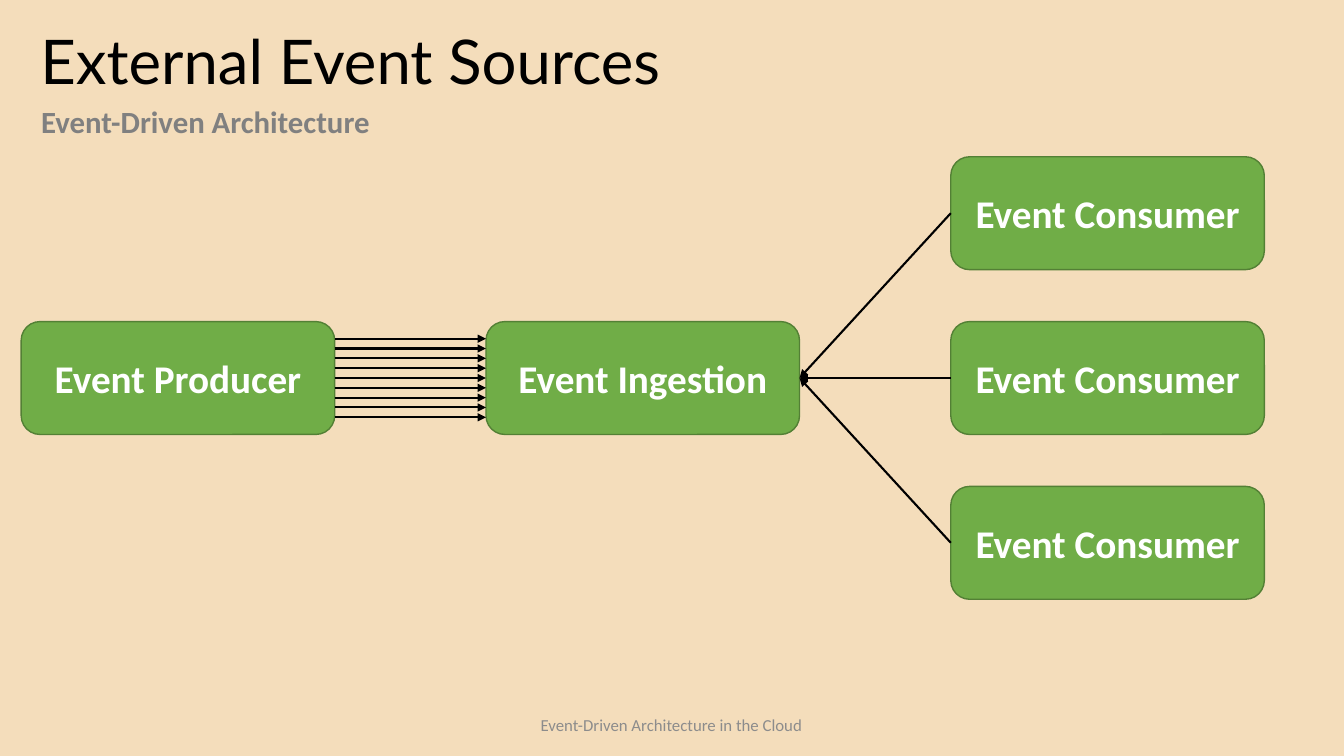
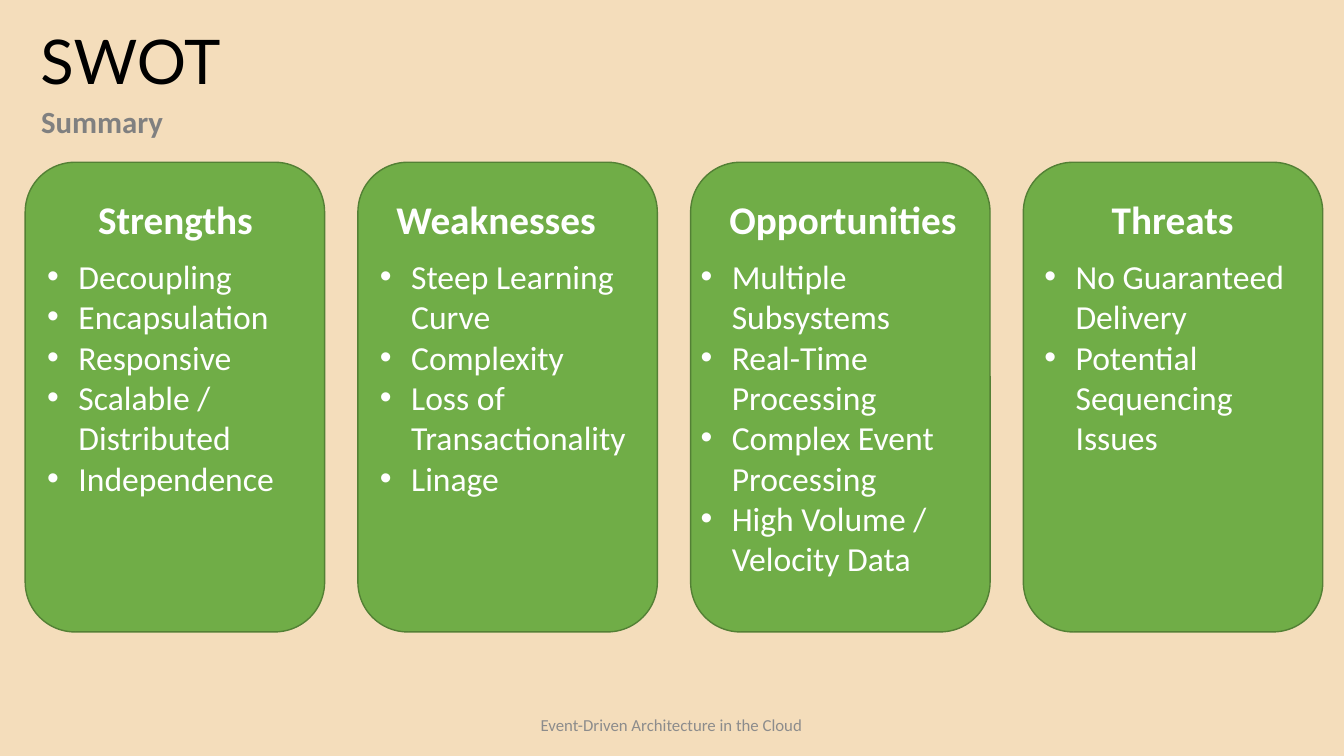
from pptx import Presentation
from pptx.dml.color import RGBColor
from pptx.enum.shapes import MSO_CONNECTOR as Link, MSO_SHAPE as Shape
from pptx.enum.text import MSO_ANCHOR as Anchor, MSO_AUTO_SIZE as Fit, PP_ALIGN as Align
from pptx.oxml.ns import qn
from pptx.util import Inches, Pt
from lxml.etree import SubElement

SAND, GREEN, EDGE = "F4DDBB", "70AD47", "538035"
BLACK, WHITE, GREY, PALE = "000000", "FFFFFF", "808080", "8C8C8C"
FOOTER = "Event-Driven Architecture in the Cloud"

BOX_W, BOX_H, MID = 3.11, 1.12, 3.19
PRODUCER_X, INGEST_X, CONSUMER_X = 0.21, 4.82, 9.43
CONSUMERS = 3
CONSUMER_STEP = 1.635
EVENTS = 9
EVENT_TOP, EVENT_END = 3.36, 4.14

CARD_X, CARD_Y, CARD_W, CARD_H, CARD_STEP = 0.25, 1.61, 2.97, 4.66, 3.3
TEXT_W, HEAD_Y, LIST_Y = 2.74, 1.89, 2.49
# heading, heading inset, list inset, points
SWOT = [
    ("Strengths", 0.12, 0.12,
     ["Decoupling", "Encapsulation", "Responsive",
      "Scalable / Distributed", "Independence"]),
    ("Weaknesses", 0, 0.12,
     ["Steep Learning Curve", "Complexity",
      "Loss of Transactionality", "Linage"]),
    ("Opportunities", 0.14, 0,
     ["Multiple Subsystems", "Real-Time Processing",
      "Complex Event Processing", "High Volume / Velocity Data"]),
    ("Threats", 0.11, 0.11,
     ["No Guaranteed Delivery", "Potential Sequencing Issues"]),
]


def color(code):
    return RGBColor.from_string(code)


def write(shape, lines, size=28, font="Calibri", ink=WHITE, bold=False,
          align=Align.LEFT, anchor=Anchor.TOP, spacing=1.0, bullet=False, wrap=True):
    frame = shape.text_frame
    frame.word_wrap = wrap
    frame.auto_size = Fit.NONE
    frame.vertical_anchor = anchor
    frame.text = "\n".join(lines)
    for para in frame.paragraphs:
        para.alignment = align
        para.line_spacing = spacing
        if bullet:
            props = para._p.get_or_add_pPr()
            props.set("marL", str(Inches(0.31)))
            props.set("indent", str(-Inches(0.31)))
            SubElement(props, qn("a:buFont")).set("typeface", "Arial")
            SubElement(props, qn("a:buChar")).set("char", "•")
        for run in para.runs:
            run.font.size = Pt(size)
            run.font.name = font
            run.font.bold = bold
            run.font.color.rgb = color(ink)


def label(parent, x, y, w, h, lines, **style):
    box = parent.shapes.add_textbox(Inches(x), Inches(y), Inches(w), Inches(h))
    write(box, lines, **style)


def panel(parent, x, y, w, h):
    """Add a green rounded rectangle."""
    shape = parent.shapes.add_shape(Shape.ROUNDED_RECTANGLE, Inches(x), Inches(y),
                                    Inches(w), Inches(h))
    shape.shadow.inherit = False
    shape.fill.solid()
    shape.fill.fore_color.rgb = color(GREEN)
    shape.line.color.rgb = color(EDGE)
    shape.line.width = Pt(1)
    return shape


def node(slide, x, y, text):
    shape = panel(slide, x, y, BOX_W, BOX_H)
    write(shape, [text], bold=True, align=Align.CENTER, anchor=Anchor.MIDDLE)
    return shape


def arrow(slide, x1, y1, x2, y2):
    link = slide.shapes.add_connector(Link.STRAIGHT, Inches(x1), Inches(y1),
                                      Inches(x2), Inches(y2))
    link.line.color.rgb = color(BLACK)
    link.line.width = Pt(1.5)
    SubElement(link.line._get_or_add_ln(), qn("a:tailEnd")).set("type", "triangle")
    SubElement(link._element.spPr, qn("a:effectLst"))
    return link


def start(deck, layout, title, subtitle):
    """Add a slide with its title, subtitle and footer."""
    slide = deck.slides.add_slide(layout)
    write(slide.shapes.title, [title], size=44, font="Lato", ink=BLACK,
          anchor=Anchor.MIDDLE, spacing=0.9)
    label(slide, 0.31, 1.04, 12.72, 0.4, [subtitle], size=22, ink=GREY, bold=True,
          anchor=Anchor.MIDDLE, spacing=0.8)
    label(slide, 5.25, 7.04, 2.82, 0.3, [FOOTER], size=12, ink=PALE,
          align=Align.CENTER, wrap=False)
    return slide


def draw_flow(slide):
    node(slide, PRODUCER_X, MID, "Event Producer")
    ingest = node(slide, INGEST_X, MID, "Event Ingestion")
    for i in range(CONSUMERS):
        y = MID + (i - CONSUMERS // 2) * CONSUMER_STEP
        consumer = node(slide, CONSUMER_X, y, "Event Consumer")
        link = arrow(slide, CONSUMER_X, y + BOX_H / 2,
                     INGEST_X + BOX_W, MID + BOX_H / 2)
        link.begin_connect(consumer, 1)
        link.end_connect(ingest, 3)
    gap = (EVENT_END - EVENT_TOP) / (EVENTS - 1)
    for i in range(EVENTS):
        y = EVENT_TOP + i * gap
        arrow(slide, PRODUCER_X + BOX_W, y, INGEST_X, y)


def draw_swot(slide):
    for i, (head, head_in, list_in, points) in enumerate(SWOT):
        x = CARD_X + i * CARD_STEP
        card = slide.shapes.add_group_shape()
        panel(card, x, CARD_Y, CARD_W, CARD_H)
        label(card, x + head_in, HEAD_Y, TEXT_W, 0.42, [head], bold=True,
              align=Align.CENTER)
        label(card, x + list_in, LIST_Y, TEXT_W, 3.4, points, size=24, bullet=True)


def main():
    deck = Presentation()
    deck.slide_width, deck.slide_height = Inches(13.33), Inches(7.5)
    fill = deck.slide_master.background.fill
    fill.solid()
    fill.fore_color.rgb = color(SAND)
    layout = deck.slide_layouts.get_by_name("Title Only")
    title = layout.placeholders[0]
    title.left, title.top = Inches(0.3), Inches(0.24)
    title.width, title.height = Inches(12.72), Inches(0.8)

    draw_flow(start(deck, layout, "External Event Sources", "Event-Driven Architecture"))
    draw_swot(start(deck, layout, "SWOT", "Summary"))
    deck.save("out.pptx")


if __name__ == "__main__":
    main()
